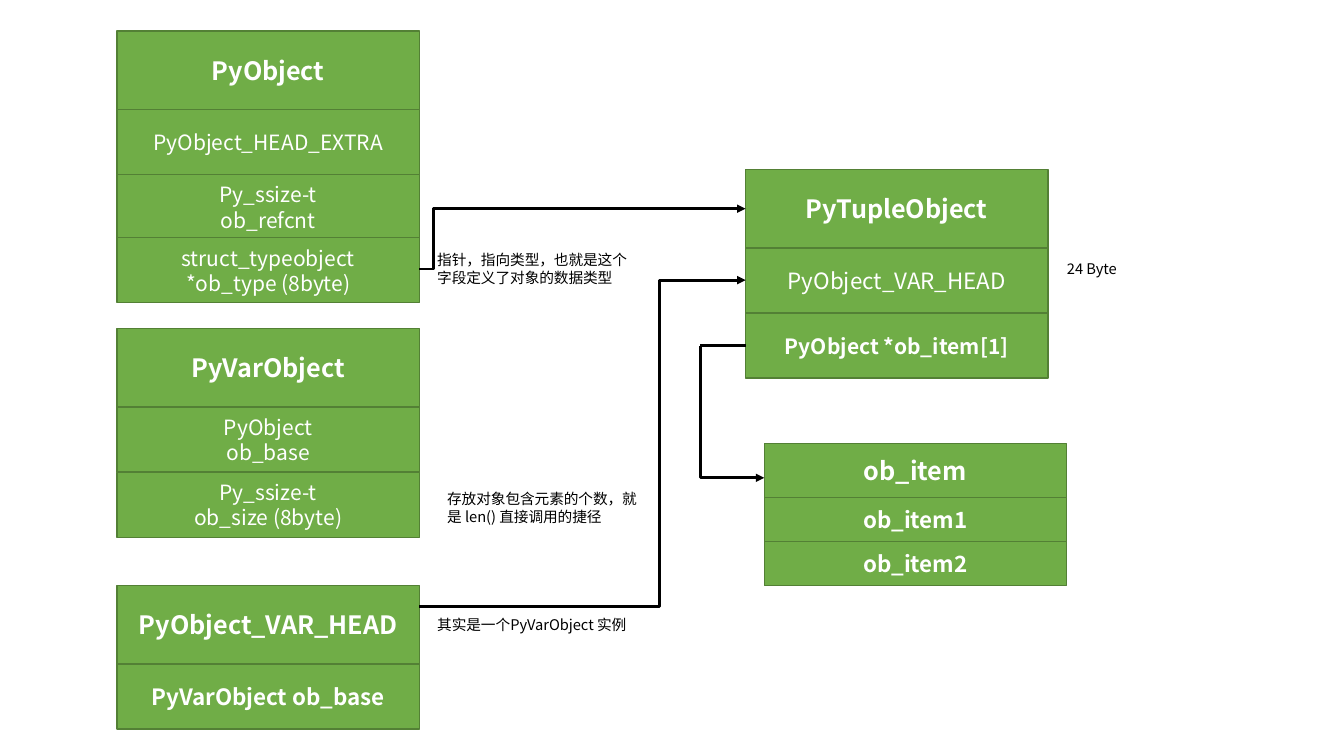
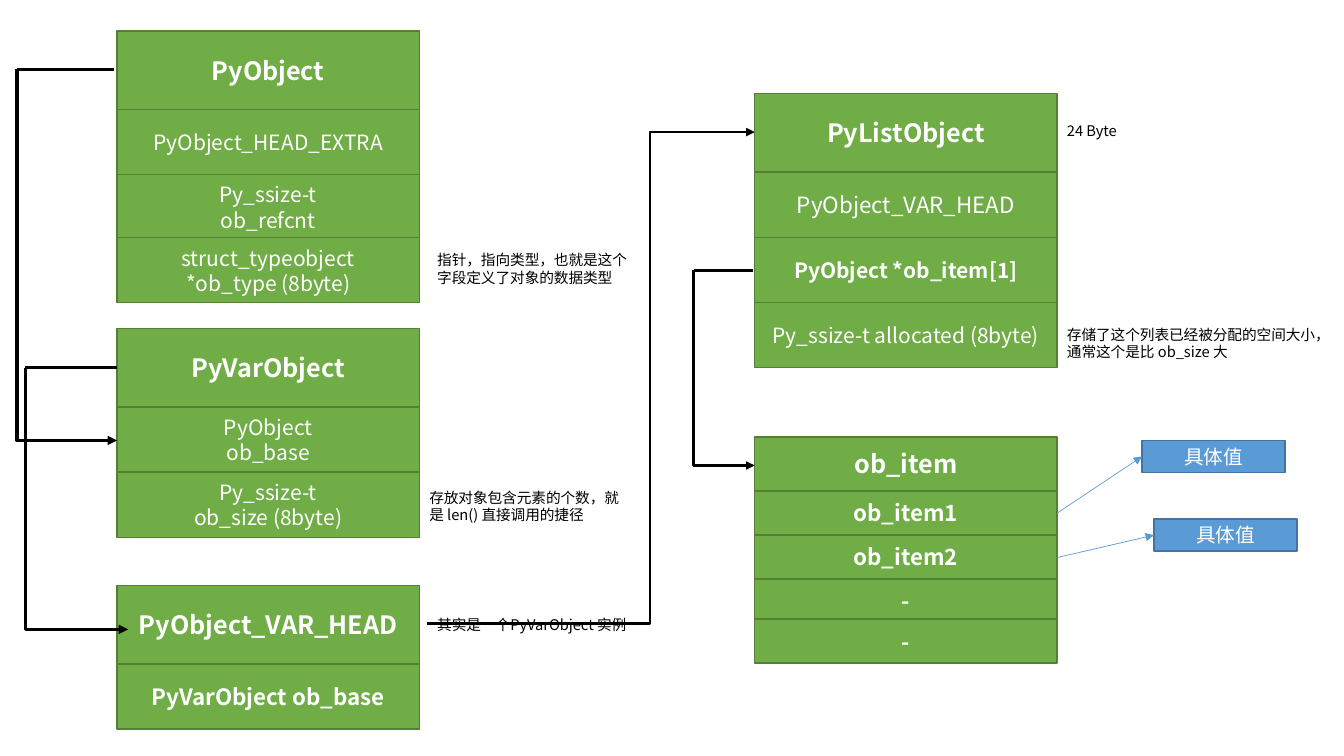
"""Draw how tuple and list objects are laid out in memory."""
from dataclasses import dataclass
from typing import NamedTuple

from lxml.etree import SubElement
from pptx import Presentation
from pptx.dml.color import RGBColor
from pptx.enum.shapes import MSO_CONNECTOR, MSO_SHAPE
from pptx.enum.text import MSO_ANCHOR, MSO_AUTO_SIZE, PP_ALIGN
from pptx.oxml.ns import qn
from pptx.shapes.connector import Connector
from pptx.slide import Slide
from pptx.text.text import TextFrame
from pptx.util import Cm, Pt


@dataclass(frozen=True)
class Theme:
    """Colours, type sizes and line widths shared by the slides."""
    font: str = "Noto Sans CJK SC"
    struct_fill: str = "70AD47"
    struct_edge: str = "538035"
    value_fill: str = "5B9BD5"
    value_edge: str = "43739E"
    light: str = "FFFFFF"
    ink: str = "000000"
    heading: float = 18
    member: float = 16
    field: float = 15
    value: float = 14
    note: float = 10.5
    edge: float = 1
    route: float = 2
    bold_route: float = 2.25
    thin_route: float = 0.5


THEME = Theme()
STRUCT_WIDTH = 7.62
HEADING_HEIGHT, FIELD_HEIGHT = 1.98, 1.64
ITEM_HEADING_HEIGHT, ITEM_HEIGHT = 1.36, 1.11
LEFT_COLUMN = 2.95


class Point(NamedTuple):
    """A place on the slide in centimetres."""
    x: float
    y: float


class Box(NamedTuple):
    """A rectangle on the slide in centimetres."""
    x: float
    y: float
    width: float
    height: float


@dataclass(frozen=True)
class Row:
    """One cell of a struct; rise moves it up over the cell above."""
    text: str
    size: float = THEME.field
    bold: bool = False
    height: float = FIELD_HEIGHT
    rise: float = 0


@dataclass(frozen=True)
class Struct:
    """A stack of rows under a shared left edge."""
    x: float
    y: float
    rows: tuple[Row, ...]


@dataclass(frozen=True)
class Note:
    """A small remark beside a struct."""
    text: str
    box: Box


@dataclass(frozen=True)
class Bend:
    """An arrow running across, up at bend_x, and across again."""
    start: Point
    end: Point
    bend_x: float


@dataclass(frozen=True)
class Hook:
    """An arrow leaving to the left, going down and coming back right."""
    start: Point
    end: Point
    corner_x: float
    width: float = THEME.route


def heading(text: str) -> Row:
    """Return the top row of a struct."""
    return Row(text, THEME.heading, True, HEADING_HEIGHT)


def item(text: str, rise: float = 0) -> Row:
    """Return one row of an item array."""
    return Row(text, THEME.member, True, ITEM_HEIGHT, rise)


ITEMS = (Row("ob_item", THEME.heading, True, ITEM_HEADING_HEIGHT),
         item("ob_item1"), item("ob_item2"))
SEQUENCE_FIELDS = (Row("PyObject_VAR_HEAD", THEME.member),
                   Row("PyObject *ob_item[1]", bold=True))
BASE_STRUCTS = (
    Struct(LEFT_COLUMN, 14.75, (
        heading("PyObject_VAR_HEAD"),
        Row("PyVarObject ob_base", THEME.member, True))),
    Struct(LEFT_COLUMN, 8.28, (
        heading("PyVarObject"),
        Row("PyObject\nob_base"),
        Row("Py_ssize-t\nob_size (8byte)"))),
    Struct(LEFT_COLUMN, 0.78, (
        heading("PyObject"),
        Row("PyObject_HEAD_EXTRA"),
        Row("Py_ssize-t\nob_refcnt"),
        Row("struct_typeobject\n*ob_type (8byte)", rise=0.05))),
)
BASE_NOTES = (
    Note("指针，指向类型，也就是这个字段定义了对象的数据类型", Box(10.77, 6.2, 5.44, 1.19)),
    Note("其实是一个PyVarObject 实例", Box(10.77, 15.39, 5.44, 0.71)),
)
SIZE_NOTE = "存放对象包含元素的个数，就是 len() 直接调用的捷径"


def write(frame: TextFrame, text: str, size: float, colour: str,
          bold: bool = False, align: PP_ALIGN = PP_ALIGN.LEFT) -> None:
    """Write one paragraph per line of text."""
    frame.word_wrap = True
    for index, line in enumerate(text.split("\n")):
        paragraph = frame.add_paragraph() if index else frame.paragraphs[0]
        paragraph.alignment = align
        run = paragraph.add_run()
        run.text = line
        run.font.size, run.font.bold = Pt(size), bold
        run.font.color.rgb = RGBColor.from_string(colour)
        run.font.name = THEME.font
        SubElement(run.font._element, qn("a:ea"), typeface=THEME.font)


def draw_cell(slide: Slide, box: Box, text: str, size: float, bold: bool = False,
              fill: str = THEME.struct_fill, edge: str = THEME.struct_edge) -> None:
    """Draw a filled rectangle with centred text."""
    cell = slide.shapes.add_shape(MSO_SHAPE.RECTANGLE, *map(Cm, box))
    cell.shadow.inherit = False
    cell.fill.solid()
    cell.fill.fore_color.rgb = RGBColor.from_string(fill)
    cell.line.color.rgb = RGBColor.from_string(edge)
    cell.line.width = Pt(THEME.edge)
    cell.text_frame.vertical_anchor = MSO_ANCHOR.MIDDLE
    write(cell.text_frame, text, size, THEME.light, bold, PP_ALIGN.CENTER)


def draw_struct(slide: Slide, struct: Struct) -> None:
    """Stack the rows of a struct from the top down."""
    top = struct.y
    for row in struct.rows:
        top -= row.rise
        draw_cell(slide, Box(struct.x, top, STRUCT_WIDTH, row.height),
                  row.text, row.size, row.bold)
        top += row.height


def draw_note(slide: Slide, note: Note) -> None:
    """Draw a remark in a text box."""
    remark = slide.shapes.add_textbox(*map(Cm, note.box)).text_frame
    write(remark, note.text, THEME.note, THEME.ink)
    remark.auto_size = MSO_AUTO_SIZE.SHAPE_TO_FIT_TEXT


def draw_line(slide: Slide, start: Point, end: Point, width: float,
              kind: MSO_CONNECTOR = MSO_CONNECTOR.STRAIGHT,
              colour: str = THEME.ink, arrow: bool = True) -> Connector:
    """Draw a connector, with an arrowhead at its end if asked."""
    link = slide.shapes.add_connector(kind, *map(Cm, (*start, *end)))
    link.line.color.rgb = RGBColor.from_string(colour)
    link.line.width = Pt(width)
    properties = link._element.spPr
    if arrow:
        SubElement(properties.find(qn("a:ln")), qn("a:tailEnd"), type="triangle")
    SubElement(properties, qn("a:effectLst"))
    return link


def draw_bend(slide: Slide, bend: Bend) -> None:
    """Draw an elbow whose upright part stands at bend_x."""
    link = draw_line(slide, bend.start, bend.end, THEME.route, MSO_CONNECTOR.ELBOW)
    share = (bend.bend_x - bend.start.x) / (bend.end.x - bend.start.x)
    adjustments = link._element.spPr.find(qn("a:prstGeom")).find(qn("a:avLst"))
    SubElement(adjustments, qn("a:gd"), name="adj1", fmla=f"val {round(share * 100000)}")


def draw_hook(slide: Slide, hook: Hook) -> None:
    """Draw a stub to the corner, then a turned elbow down and right."""
    corner = Point(hook.corner_x, hook.start.y)
    draw_line(slide, corner, hook.start, hook.width, arrow=False)
    across, down = hook.end.x - corner.x, hook.end.y - corner.y
    middle = Point(corner.x + across / 2, corner.y + down / 2)
    link = draw_line(slide, Point(middle.x - down / 2, middle.y - across / 2),
                     Point(middle.x + down / 2, middle.y + across / 2),
                     hook.width, MSO_CONNECTOR.ELBOW)
    properties = link._element.spPr
    properties.find(qn("a:prstGeom")).set("prst", "bentConnector2")
    frame = properties.find(qn("a:xfrm"))
    frame.set("rot", "16200000")
    frame.set("flipH", "1")


def draw_diagram(slide: Slide, structs: tuple[Struct, ...], notes: tuple[Note, ...],
                 bends: tuple[Bend, ...], hooks: tuple[Hook, ...]) -> None:
    """Draw the base structs together with those of one slide."""
    for struct in BASE_STRUCTS + structs:
        draw_struct(slide, struct)
    for note in BASE_NOTES + notes:
        draw_note(slide, note)
    for bend in bends:
        draw_bend(slide, bend)
    for hook in hooks:
        draw_hook(slide, hook)


def draw_tuple_slide(slide: Slide) -> None:
    """Show the layout of a tuple."""
    draw_diagram(
        slide,
        (Struct(18.79, 4.27, (heading("PyTupleObject"), *SEQUENCE_FIELDS)),
         Struct(19.26, 11.18, ITEMS)),
        (Note(SIZE_NOTE, Box(11.02, 12.22, 5.44, 1.14)),
         Note("24 Byte", Box(26.64, 6.43, 2.13, 0.71))),
        (Bend(Point(10.57, 6.78), Point(18.79, 5.26), 10.92),
         Bend(Point(10.57, 15.29), Point(18.79, 7.06), 16.61)),
        (Hook(Point(18.79, 8.71), Point(19.26, 12.04), 17.65),))


def draw_list_slide(slide: Slide) -> None:
    """Show the layout of a list and the values its items point to."""
    draw_diagram(
        slide,
        (Struct(19.02, 2.36, (heading("PyListObject"), *SEQUENCE_FIELDS,
                              Row("Py_ssize-t allocated (8byte)"))),
         Struct(19.02, 11.01, (*ITEMS, item("-"), item("-", 0.1)))),
        (Note(SIZE_NOTE, Box(10.57, 12.19, 5.44, 1.14)),
         Note("24 Byte", Box(26.64, 2.95, 2.13, 0.71)),
         Note("存储了这个列表已经被分配的空间大小，\n通常这个是比 ob_size 大",
              Box(26.64, 8.08, 6.96, 1.14))),
        (Bend(Point(10.77, 15.72), Point(19.02, 3.33), 16.38),),
        (Hook(Point(18.97, 6.81), Point(19.02, 11.73), 17.48),
         Hook(Point(2.87, 1.75), Point(2.95, 11.1), 0.43, THEME.bold_route),
         Hook(Point(2.95, 9.27), Point(3.23, 15.86), 0.64, THEME.bold_route)))
    for item_y, value in ((12.93, Box(28.78, 11.1, 3.61, 0.81)),
                          (14.05, Box(29.08, 13.08, 3.61, 0.81))):
        draw_cell(slide, value, "具体值", THEME.value,
                  fill=THEME.value_fill, edge=THEME.value_edge)
        draw_line(slide, Point(26.64, item_y), Point(value.x, value.y + value.height / 2),
                  THEME.thin_route, colour=THEME.value_fill)


def main() -> None:
    """Build and save the presentation."""
    deck = Presentation()
    deck.slide_width, deck.slide_height = Cm(33.87), Cm(19.05)
    blank = deck.slide_layouts.get_by_name("Blank")
    for draw in (draw_tuple_slide, draw_list_slide):
        draw(deck.slides.add_slide(blank))
    deck.save("out.pptx")


if __name__ == "__main__":
    main()
